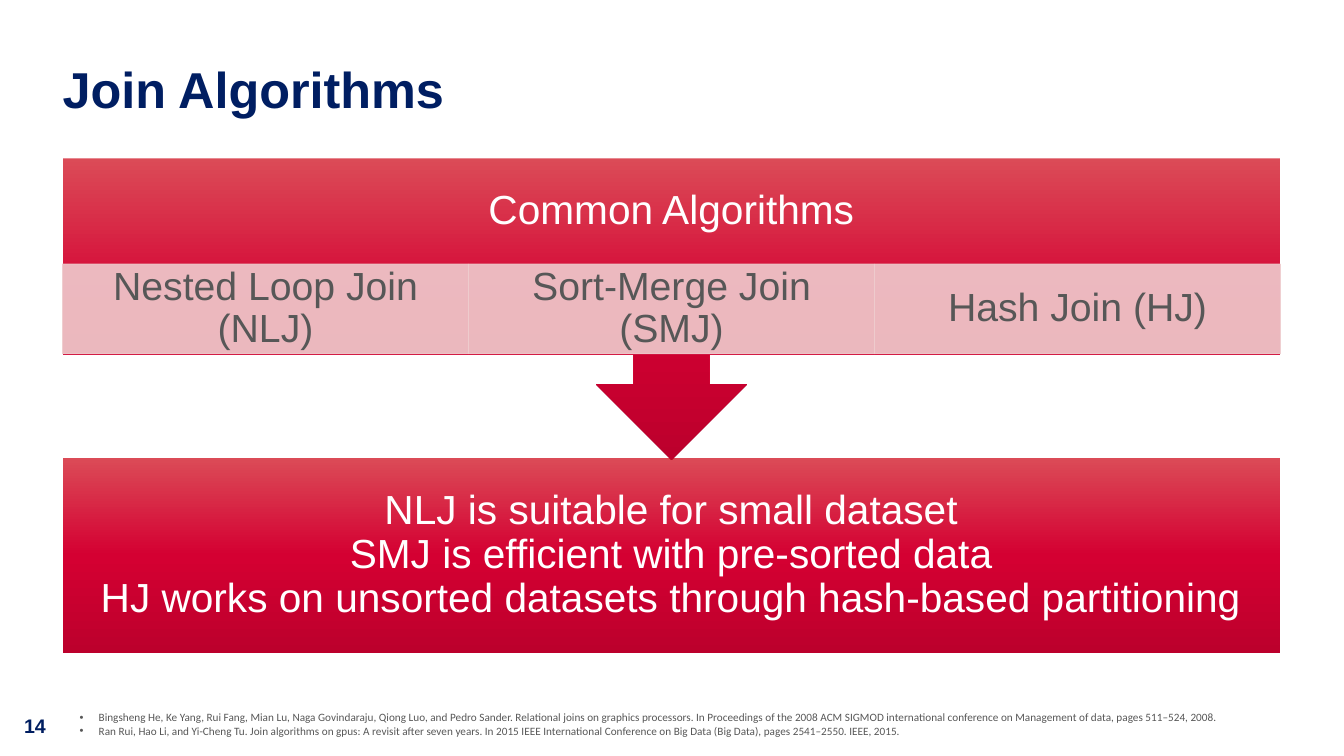
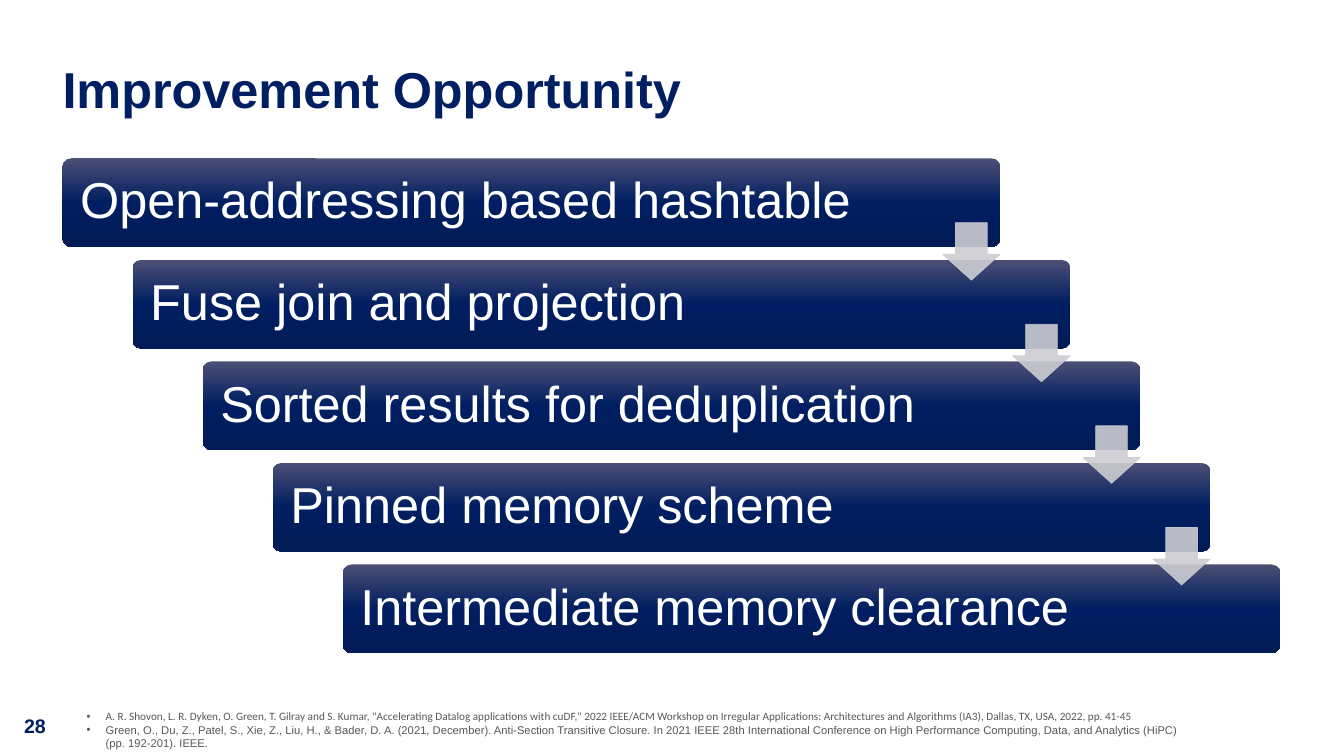
from copy import deepcopy

from lxml.etree import SubElement
from pptx import Presentation
from pptx.dml.color import RGBColor
from pptx.enum.shapes import MSO_SHAPE as Shape
from pptx.enum.text import MSO_ANCHOR as Anchor, PP_ALIGN as Align
from pptx.oxml.ns import qn
from pptx.util import Inches, Pt

NAVY_TITLE, NAVY_NUMBER, WHITE, GREY = "001E62", "001E61", "FFFFFF", "575757"
RED_GRADIENT = ("DB4B57", "D40032", "BC002C")
NAVY_GRADIENT = ("4B4F75", "001E61", "001B56")
PINK, SILVER = "EFCCCE", "CCCDD2"
LEFT, TOP, WIDTH, HEIGHT = 0.62, 1.57, 12.08, 4.91


def paint(shape, *colours):
    """One colour gives a 90 % opaque fill and line, three a downward gradient."""
    shape.shadow.inherit = False
    properties = shape._element.spPr
    if len(colours) == 1:
        colour = RGBColor.from_string(colours[0])
        shape.fill.solid()
        shape.fill.fore_color.rgb = colour
        shape.line.color.rgb = colour
        shape.line.width = Pt(0.5)
        for element in properties.iter(qn("a:srgbClr")):
            SubElement(element, qn("a:alpha"), val="90000")
        return
    shape.line.fill.background()
    shape.fill.gradient()
    shape.fill.gradient_angle = 270
    stop_list = properties.find(".//" + qn("a:gsLst"))
    stop_list.append(deepcopy(stop_list[-1]))
    for stop, colour, position in zip(shape.fill.gradient_stops, colours, (0, 0.5, 1)):
        stop.color.rgb = RGBColor.from_string(colour)
        stop.position = position


def write_text(shape, lines, size, colour, insets, align=Align.LEFT, bold=False):
    """Fill a shape with one paragraph; insets are left/right, top and bottom."""
    frame = shape.text_frame
    frame.word_wrap = True
    frame.vertical_anchor = Anchor.MIDDLE
    side, top, bottom = insets
    frame.margin_left = frame.margin_right = Inches(side)
    frame.margin_top, frame.margin_bottom = Inches(top), Inches(bottom)
    paragraph = frame.paragraphs[0]
    paragraph.alignment = align
    paragraph.line_spacing = 0.9
    paragraph.font.size = Pt(size)
    for index, line in enumerate(lines):
        if index:
            paragraph.add_line_break()
        run = paragraph.add_run()
        run.text = line
        run.font.name = "Arial"
        run.font.size = Pt(size)
        run.font.bold = bold
        run.font.color.rgb = RGBColor.from_string(colour)


presentation = Presentation()
presentation.slide_width = Inches(13.33)
presentation.slide_height = Inches(7.5)

pages = [
    ("14", "Join Algorithms", (0.69, 7, 11.85, 0.37), [
        ("Calibri", "Bingsheng He, Ke Yang, Rui Fang, Mian Lu, Naga Govindaraju, Qiong Luo, "
         "and Pedro Sander. Relational joins on graphics processors. In Proceedings of the "
         "2008 ACM SIGMOD international conference on Management of data, pages 511–524, 2008."),
        ("Calibri", "Ran Rui, Hao Li, and Yi-Cheng Tu. Join algorithms on gpus: A revisit after "
         "seven years. In 2015 IEEE International Conference on Big Data (Big Data), "
         "pages 2541–2550. IEEE, 2015."),
    ]),
    ("28", "Improvement Opportunity", (0.76, 6.99, 11.08, 0.5), [
        ("Calibri", "A. R. Shovon, L. R. Dyken, O. Green, T. Gilray and S. Kumar, "
         "\"Accelerating Datalog applications with cuDF,\" 2022 IEEE/ACM Workshop on Irregular "
         "Applications: Architectures and Algorithms (IA3), Dallas, TX, USA, 2022, pp. 41-45"),
        ("Arial", "Green, O., Du, Z., Patel, S., Xie, Z., Liu, H., & Bader, D. A. (2021, "
         "December). Anti-Section Transitive Closure. In 2021 IEEE 28th International Conference "
         "on High Performance Computing, Data, and Analytics (HiPC) (pp. 192-201). IEEE."),
    ]),
]

# Title, slide number and references
for number, title, reference_area, references in pages:
    slide = presentation.slides.add_slide(presentation.slide_layouts[6])
    title_box = slide.shapes.add_textbox(Inches(LEFT), Inches(0.47), Inches(WIDTH), Inches(0.89))
    write_text(title_box, [title], 36, NAVY_TITLE, (0, 0, 0), bold=True)
    number_box = slide.shapes.add_textbox(Inches(0.14), Inches(7.04), Inches(0.66), Inches(0.34))
    write_text(number_box, [number], 14, NAVY_NUMBER, (0.1, 0.05, 0.05), bold=True)

    frame = slide.shapes.add_textbox(*map(Inches, reference_area)).text_frame
    frame.word_wrap = True
    for index, (font, reference) in enumerate(references):
        paragraph = frame.add_paragraph() if index else frame.paragraphs[0]
        properties = paragraph._p.get_or_add_pPr()
        properties.set("marL", str(Inches(0.19)))
        properties.set("indent", str(-Inches(0.19)))
        SubElement(properties, qn("a:buFont"), typeface="Arial")
        SubElement(properties, qn("a:buChar"), char="•")
        run = paragraph.add_run()
        run.text = reference
        run.font.name = font
        run.font.size = Pt(8)
        run.font.color.rgb = RGBColor.from_string(GREY)

join_slide, improvement_slide = presentation.slides

# Join algorithms: callout with three cells, pointing at the conclusions
conclusions = join_slide.shapes.add_shape(
    Shape.RECTANGLE, Inches(LEFT), Inches(4.54), Inches(WIDTH), Inches(1.94))
paint(conclusions, *RED_GRADIENT)
write_text(conclusions, [
    "NLJ is suitable for small dataset",
    "SMJ is efficient with pre-sorted data",
    "HJ works on unsorted datasets through hash-based partitioning",
], 29, WHITE, (0.23, 0.23, 0.23), Align.CENTER)

callout = join_slide.shapes.add_shape(
    Shape.DOWN_ARROW_CALLOUT, Inches(LEFT), Inches(TOP), Inches(WIDTH), Inches(2.99))
paint(callout, *RED_GRADIENT)
write_text(callout, ["Common Algorithms"], 29, WHITE, (0.23, 0.23, 1.12), Align.CENTER)

algorithms = ["Nested Loop Join (NLJ)", "Sort-Merge Join (SMJ)", "Hash Join (HJ)"]
cell_width = WIDTH / len(algorithms)
for index, algorithm in enumerate(algorithms):
    cell = join_slide.shapes.add_shape(
        Shape.RECTANGLE, Inches(LEFT + index * cell_width), Inches(2.62),
        Inches(cell_width), Inches(0.89))
    paint(cell, PINK)
    write_text(cell, [algorithm], 28, GREY, (0.22, 0.04, 0.04), Align.CENTER)

# Improvement opportunity: staircase of bars linked by arrows
steps = [
    "Open-addressing based hashtable",
    "Fuse join and projection",
    "Sorted results for deduplication",
    "Pinned memory scheme",
    "Intermediate memory clearance",
]
bar_width, bar_height, arrow_size = 9.3, 0.88, 0.57
step_right = (WIDTH - bar_width) / (len(steps) - 1)
step_down = (HEIGHT - bar_height) / (len(steps) - 1)
for index, step in enumerate(steps):
    bar = improvement_slide.shapes.add_shape(
        Shape.ROUNDED_RECTANGLE, Inches(LEFT + index * step_right),
        Inches(TOP + index * step_down), Inches(bar_width), Inches(bar_height))
    bar.adjustments[0] = 0.1
    paint(bar, *NAVY_GRADIENT)
    write_text(bar, [step], 36, WHITE, (0.15, 0.15, 0.15))

for index in range(len(steps) - 1):
    arrow = improvement_slide.shapes.add_shape(
        Shape.DOWN_ARROW, Inches(LEFT + bar_width - arrow_size + index * step_right),
        Inches(TOP + 0.64 + index * step_down), Inches(arrow_size), Inches(arrow_size))
    arrow.adjustments[0] = 0.55
    arrow.adjustments[1] = 0.45
    paint(arrow, SILVER)

presentation.save("out.pptx")
